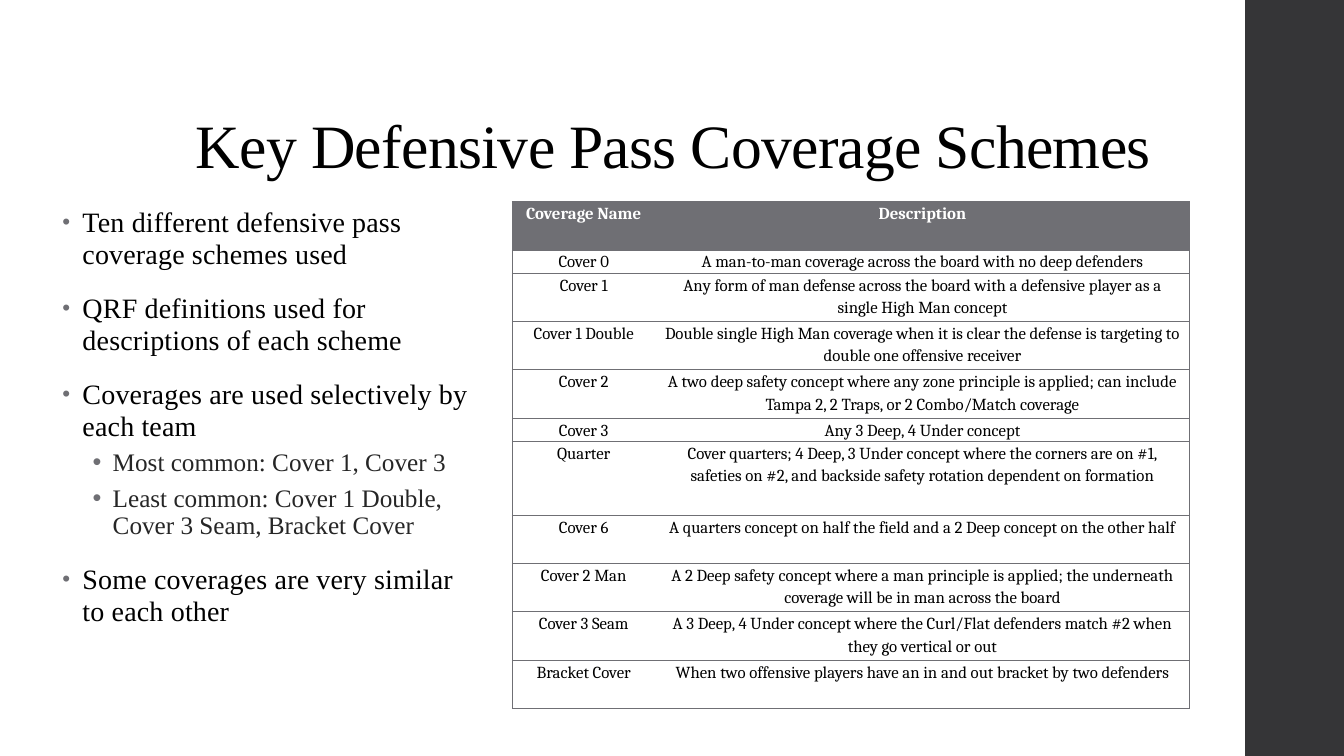
from lxml.etree import SubElement
from pptx import Presentation
from pptx.dml.color import RGBColor
from pptx.enum.shapes import MSO_SHAPE as Preset
from pptx.enum.text import MSO_ANCHOR as Anchor, PP_ALIGN as Align
from pptx.oxml.ns import qn
from pptx.util import Inches, Pt

SERIF = "Times New Roman"
GREY = "6F6F74"

POINTS = [
    (0, "Ten different defensive pass coverage schemes used"),
    (0, "QRF definitions used for descriptions of each scheme"),
    (0, "Coverages are used selectively by each team"),
    (1, "Most common: Cover 1, Cover 3"),
    (1, "Least common: Cover 1 Double, Cover 3 Seam, Bracket Cover"),
    (0, "Some coverages are very similar to each other"),
]
LEVELS = [
    dict(indent=0.2, leading=0.95, before=14, after=2, size=20, color="000000", spacing=0.1, bullet=80),
    dict(indent=0.5, leading=0.9, before=3, after=3, size=18, color="262626", spacing=0, bullet=100),
]
COVERAGES = [
    (0.48, "Coverage Name", "Description"),
    (0.23, "Cover 0", "A man-to-man coverage across the board with no deep defenders"),
    (0.48, "Cover 1", "Any form of man defense across the board with a defensive player as a "
                      "single High Man concept"),
    (0.48, "Cover 1 Double", "Double single High Man coverage when it is clear the defense is "
                             "targeting to double one offensive receiver"),
    (0.48, "Cover 2", "A two deep safety concept where any zone principle is applied; can include "
                      "Tampa 2, 2 Traps, or 2 Combo/Match coverage"),
    (0.23, "Cover 3", "Any 3 Deep, 4 Under concept"),
    (0.73, "Quarter", "Cover quarters; 4 Deep, 3 Under concept where the corners are on #1, "
                      "safeties on #2, and backside safety rotation dependent on formation"),
    (0.48, "Cover 6", "A quarters concept on half the field and a 2 Deep concept on the other half"),
    (0.48, "Cover 2 Man", "A 2 Deep safety concept where a man principle is applied; the underneath "
                          "coverage will be in man across the board"),
    (0.48, "Cover 3 Seam", "A 3 Deep, 4 Under concept where the Curl/Flat defenders match #2 when "
                           "they go vertical or out"),
    (0.48, "Bracket Cover", "When two offensive players have an in and out bracket by two defenders"),
]


def rgb(code):
    """Turn a hex string into a colour."""
    return RGBColor.from_string(code)


def style_paragraph(paragraph, font_name, size, color, leading, before=0, after=0, spacing=0, bold=False):
    """Set the spacing of a paragraph and the font of its runs."""
    paragraph.line_spacing = leading
    paragraph.space_before, paragraph.space_after = Pt(before), Pt(after)
    for run in paragraph.runs:
        run.font.name, run.font.size, run.font.bold = font_name, Pt(size), bold
        run.font.color.rgb = rgb(color)
        run.font._element.set("spc", str(round(spacing * 100)))


def add_bullet(paragraph, indent, percent):
    """Give a paragraph a hanging grey bullet."""
    props = paragraph._p.get_or_add_pPr()
    props.set("marL", str(Inches(indent)))
    props.set("indent", str(Inches(-0.2)))
    SubElement(SubElement(props, qn("a:buClr")), qn("a:srgbClr"), val=GREY)
    SubElement(props, qn("a:buSzPct"), val=str(percent * 1000))
    SubElement(props, qn("a:buFont"), typeface="Arial")
    SubElement(props, qn("a:buChar"), char="•")


def set_borders(cell, visible):
    """Draw the named sides of a cell and hide the others."""
    props = cell._tc.get_or_add_tcPr()
    for position, side in enumerate("LRTB"):
        line = SubElement(props, qn(f"a:ln{side}"), w=str(Pt(0.75)))
        props.insert(position, line)
        if side in visible:
            SubElement(SubElement(line, qn("a:solidFill")), qn("a:srgbClr"), val=GREY)
        else:
            SubElement(line, qn("a:noFill"))


def add_side_band(slide, left, top, width, height):
    """Place the dark band at the right edge."""
    band = slide.shapes.add_shape(Preset.RECTANGLE, Inches(left), Inches(top), Inches(width), Inches(height))
    band.shadow.inherit = False
    band.fill.solid()
    band.fill.fore_color.rgb = rgb("353537")
    band.line.fill.background()


def add_title(slide, left, top, width, height):
    """Place the heading at the bottom of its box."""
    frame = slide.shapes.add_textbox(Inches(left), Inches(top), Inches(width), Inches(height)).text_frame
    frame.word_wrap = True
    frame.vertical_anchor = Anchor.BOTTOM
    frame.text = "Key Defensive Pass Coverage Schemes"
    heading = frame.paragraphs[0]
    heading.alignment = Align.CENTER
    style_paragraph(heading, SERIF, 44, "000000", 0.9, spacing=-0.5)


def add_points(slide, left, top, width, height):
    """Place the two-level bullet list."""
    frame = slide.shapes.add_textbox(Inches(left), Inches(top), Inches(width), Inches(height)).text_frame
    frame.word_wrap = True
    frame.text = "\n".join(text for _, text in POINTS)
    for point, (depth, _) in zip(frame.paragraphs, POINTS):
        look = LEVELS[depth]
        point.level = depth
        style_paragraph(point, SERIF, look["size"], look["color"], look["leading"],
                        look["before"], look["after"], look["spacing"])
        add_bullet(point, look["indent"], look["bullet"])


def add_coverages(slide, left, top, width, height):
    """Place the table of coverage names and descriptions."""
    table = slide.shapes.add_table(len(COVERAGES), 2, Inches(left), Inches(top),
                                   Inches(width), Inches(height)).table
    table.horz_banding = False
    name_width = 1.42
    table.columns[0].width = Inches(name_width)
    table.columns[1].width = Inches(width - name_width)
    for index, (row_height, *texts) in enumerate(COVERAGES):
        header = index == 0
        table.rows[index].height = Inches(row_height)
        for column, text in enumerate(texts):
            cell = table.cell(index, column)
            cell.margin_left = cell.margin_right = Inches(0.07)
            cell.margin_top = cell.margin_bottom = 0
            cell.fill.solid()
            cell.fill.fore_color.rgb = rgb(GREY if header else "FFFFFF")
            cell.text_frame.text = text
            entry = cell.text_frame.paragraphs[0]
            entry.alignment = Align.CENTER
            style_paragraph(entry, "Cambria", 12, "FFFFFF" if header else "000000", 1.15,
                            after=8, bold=header)
            set_borders(cell, "TB" + "LR"[column])


def main():
    """Build the slide and save it."""
    deck = Presentation()
    deck.slide_width, deck.slide_height = Inches(13.33), Inches(7.5)
    slide = deck.slides.add_slide(deck.slide_layouts[6])
    add_side_band(slide, 12.35, 0, 0.98, 7.5)
    add_title(slide, 1.38, 0.4, 10.6, 1.45)
    add_points(slide, 0.52, 2, 4.26, 5.03)
    add_coverages(slide, 5.08, 2, 6.72, 5.03)
    deck.save("out.pptx")


if __name__ == "__main__":
    main()
